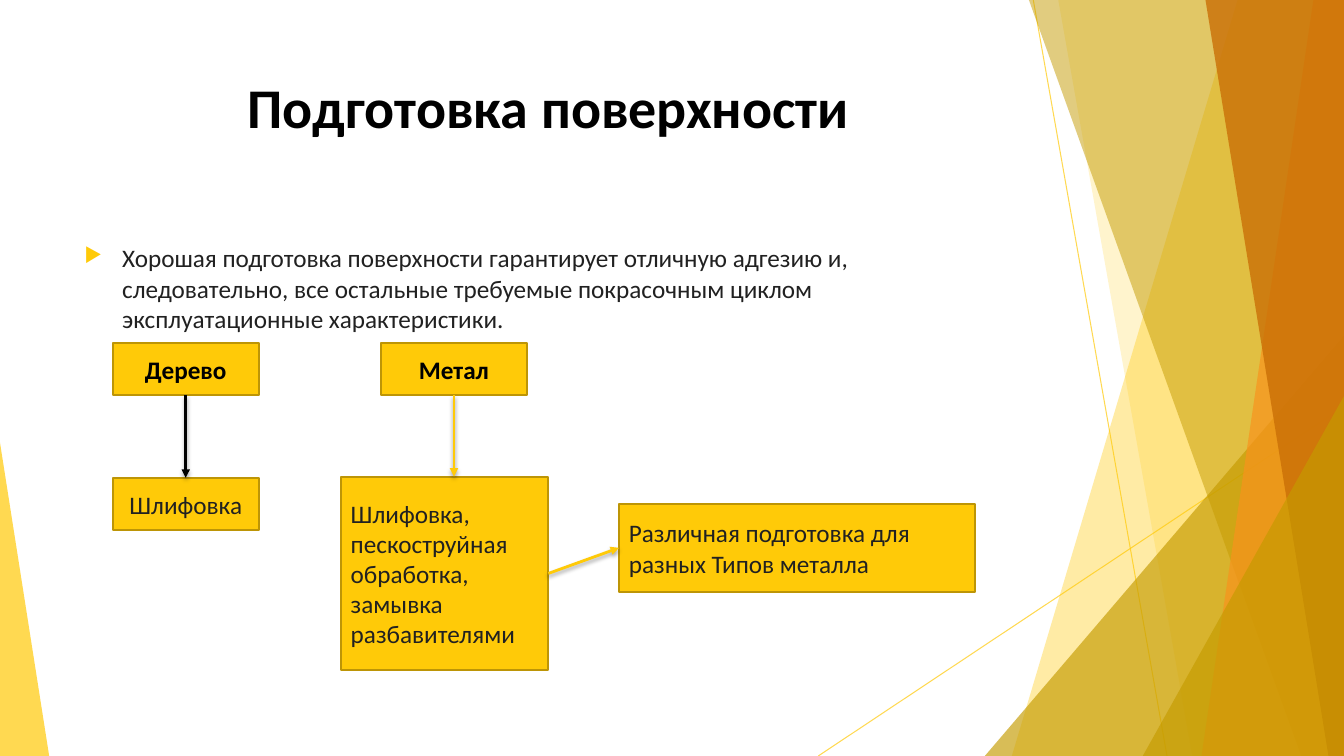
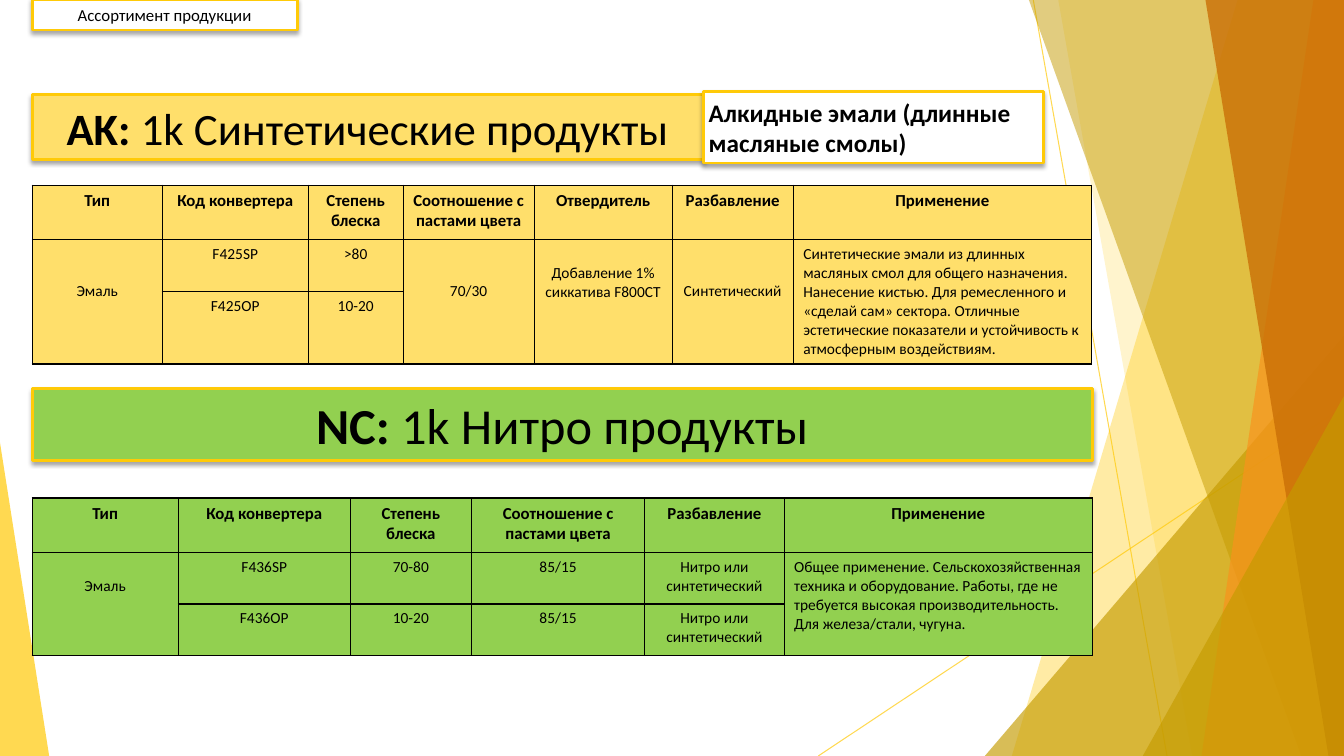
"""Build two slides on surface preparation and the paint product range."""
from pptx import Presentation
from pptx.dml.color import RGBColor
from pptx.enum.shapes import MSO_CONNECTOR, MSO_SHAPE
from pptx.enum.text import MSO_ANCHOR, PP_ALIGN
from pptx.oxml import parse_xml
from pptx.oxml.ns import nsdecls, qn
from pptx.util import Cm, Pt

W, H = 33.87, 19.05
FONT = "Calibri"
BLACK, TEXT, WHITE = "000000", "212121", "FFFFFF"
GOLD, EDGE, OLIVE = "FFCA08", "BD9506", "C59B00"
SAND, GREEN = "FFDF6B", "92D050"
CENTER, LEFT = PP_ALIGN.CENTER, PP_ALIGN.LEFT
LINE_11PT, PAD = 0.47, 0.13

THIN_LINES = [((26.04, 0), (29.41, H)), ((W, 10.24), (20.62, H))]
RAYS = [
    ("band", (31.19, 25.5), GOLD, 36),
    ("band", (26.67, 30.05), GOLD, 20),
    ("triangle", (24.82, 8.46, W, 1), OLIVE, 66),
    ("band", (25.93, 32.79), OLIVE, 50),
    ("band", (33.1, 30.28), "F8931D", 70),
    ("band", (30.38, 33.48), "CA6F06", 80),
    ("triangle", (28.8, 9.98, W, 1), OLIVE, 66),
    ("triangle", (0, 11.15, 1.24, 0), GOLD, 70),
]

TITLE = "Подготовка поверхности"
BODY = ("Хорошая подготовка поверхности гарантирует отличную адгезию и, следовательно, "
        "все остальные требуемые покрасочным циклом эксплуатационные характеристики.")
STEPS = {
    "wood": ("Дерево", (2.84, 8.64, 3.68, 1.32), CENTER, True),
    "metal": ("Метал", (9.6, 8.64, 3.68, 1.32), CENTER, True),
    "sanding": ("Шлифовка", (2.84, 12.04, 3.68, 1.32), CENTER, False),
    "cleaning": ("Шлифовка, пескоструйная обработка, замывка разбавителями",
                 (8.59, 12.01, 5.23, 4.88), LEFT, False),
    "variants": ("Различная подготовка для разных Типов металла",
                 (15.6, 12.7, 8.97, 2.21), LEFT, False),
}
JOINED_ARROWS = [("wood", 2, "sanding", 0, BLACK), ("cleaning", 3, "variants", 1, GOLD)]

BANNERS = [
    ([("AK: ", True), ("1k Синтетические продукты", False)],
     (0.81, 2.39, 16.92, 1.63), SAND, 32, CENTER),
    ([("Алкидные эмали (длинные масляные смолы)", True)],
     (17.73, 2.31, 8.56, 1.8), WHITE, 18, LEFT),
    ([("NC: ", True), ("1k Нитро продукты", False)],
     (0.81, 9.8, 26.72, 1.8), GREEN, 36, CENTER),
    ([("Ассортимент продукции", False)], (0.81, 0, 6.68, 0.76), WHITE, 12, CENTER),
]
TABLES = [
    {"top": 4.67, "fill": SAND,
     "cols": [3.28, 3.68, 2.39, 3.3, 3.48, 3.05, 7.52], "rows": [1.37, 1.3, 1.78],
     "drop": {0: 2, 3: 2, 4: 1, 5: 2},
     "cells": [
         ["Тип", "Код конвертера", "Степень блеска", "Соотношение с пастами цвета",
          "Отвердитель", "Разбавление", "Применение"],
         ["Эмаль", "F425SP", ">80", "70/30", "Добавление 1% сиккатива F800CT",
          "Синтетический",
          "Синтетические эмали из длинных масляных смол для общего назначения. "
          "Нанесение кистью. Для ремесленного и «сделай сам» сектора. Отличные "
          "эстетические показатели и устойчивость к атмосферным воздействиям."],
         [None, "F425OP", "10-20", None, None, None, None]]},
    {"top": 12.55, "fill": GREEN,
     "cols": [3.68, 4.34, 3.05, 4.37, 3.51, 7.77], "rows": [1.37, 1.3, 1.3],
     "drop": {0: 1},
     "cells": [
         ["Тип", "Код конвертера", "Степень блеска", "Соотношение с пастами цвета",
          "Разбавление", "Применение"],
         ["Эмаль", "F436SP", "70-80", "85/15", "Нитро или синтетический",
          "Общее применение. Сельскохозяйственная техника и оборудование. Работы, "
          "где не требуется высокая производительность.\nДля железа/стали, чугуна."],
         [None, "F436OP", "10-20", "85/15", "Нитро или синтетический", None]]},
]


def rgb(color):
    return RGBColor.from_string(color)


def apply(obj, fmt):
    for name, value in fmt.items():
        setattr(obj, name, value)


def set_alpha(element, percent):
    for clr in element.iter(qn("a:srgbClr")):
        clr.append(parse_xml(f'<a:alpha {nsdecls("a")} val="{percent * 1000}"/>'))


def set_effects(shape, shadow=False):
    inner = ('<a:outerShdw blurRad="38100" dist="23000" dir="5400000" rotWithShape="0">'
             '<a:srgbClr val="000000"><a:alpha val="35000"/></a:srgbClr></a:outerShdw>')
    shape.element.spPr.append(parse_xml(
        f'<a:effectLst {nsdecls("a")}>{inner if shadow else ""}</a:effectLst>'))


def write(p, runs, size, color, align):
    p.alignment = align
    for text, bold in runs:
        r = p.add_run()
        r.text = text
        apply(r.font, {"name": FONT, "size": Pt(size), "bold": bold})
        r.font.color.rgb = rgb(color)


def add_line(s, start, end, color, width):
    line = s.shapes.add_connector(MSO_CONNECTOR.STRAIGHT, *map(Cm, start + end))
    line.line.color.rgb = rgb(color)
    line.line.width = Pt(width)
    return line


def add_arrow(s, start, end, color):
    arrow = add_line(s, start, end, color, 2)
    arrow.line._get_or_add_ln().append(
        parse_xml(f'<a:tailEnd {nsdecls("a")} type="triangle"/>'))
    set_effects(arrow, shadow=True)
    return arrow


def add_box(s, box, runs, fill, edge, width, size, color, align, inset=None, shadow=False):
    sp = s.shapes.add_shape(MSO_SHAPE.RECTANGLE, *map(Cm, box))
    sp.fill.solid()
    sp.fill.fore_color.rgb = rgb(fill)
    sp.line.color.rgb = rgb(edge)
    sp.line.width = Pt(width)
    set_effects(sp, shadow)
    tf = sp.text_frame
    apply(tf, {"word_wrap": True, "vertical_anchor": MSO_ANCHOR.MIDDLE})
    if inset:
        sides = ("left", "top", "right", "bottom")
        apply(tf, {f"margin_{side}": Cm(inset) for side in sides})
    write(tf.paragraphs[0], runs, size, color, align)
    return sp


def add_text(s, box):
    tf = s.shapes.add_textbox(*map(Cm, box)).text_frame
    tf.word_wrap = True
    return tf.paragraphs[0]


def add_ray(s, kind, place, color, alpha):
    if kind == "band":
        top, bottom = place
        outline = s.shapes.build_freeform(Cm(top), 0, scale=1.0)
        corners = [(W, 0), (W, H), (bottom, H)]
        outline.add_line_segments([(Cm(x), Cm(y)) for x, y in corners], close=True)
        sp = outline.convert_to_shape()
    else:
        left, top, right, apex = place
        sp = s.shapes.add_shape(MSO_SHAPE.ISOSCELES_TRIANGLE,
                                *map(Cm, (left, top, right - left, H - top)))
        sp.adjustments[0] = apex
    sp.fill.solid()
    sp.fill.fore_color.rgb = rgb(color)
    set_alpha(sp.element.spPr, alpha)
    sp.line.fill.background()
    set_effects(sp)


def decorate(layout, s):
    for ph in list(layout.placeholders):
        ph.element.getparent().remove(ph.element)
    for start, end in THIN_LINES:
        line = add_line(s, start, end, GOLD, 0.75)
        set_alpha(line.element.spPr, 70)
        set_effects(line)
    for ray in RAYS:
        add_ray(s, *ray)
    for sp in list(s.shapes):
        layout.shapes.element.append(sp.element)


def build_preparation(s):
    write(add_text(s, (1.88, 1.7, 23.88, 3.66)), [(TITLE, True)], 40, BLACK, CENTER)
    p = add_text(s, (1.88, 5.99, 23.88, 2.5))
    pPr = p._p.get_or_add_pPr()
    apply_indent = {"marL": Cm(0.95), "indent": -Cm(0.95)}
    for name, value in apply_indent.items():
        pPr.set(name, str(int(value)))
    for xml in (f'<a:buClr {nsdecls("a")}><a:srgbClr val="{GOLD}"/></a:buClr>',
                f'<a:buSzPct {nsdecls("a")} val="80000"/>',
                f'<a:buChar {nsdecls("a")} char="▶"/>'):
        pPr.append(parse_xml(xml))
    write(p, [(BODY, False)], 18, TEXT, LEFT)

    boxes = {}
    for key, (text, box, align, bold) in STEPS.items():
        boxes[key] = add_box(s, box, [(text, bold)], GOLD, EDGE, 1.5, 18,
                             BLACK if bold else TEXT, align)
    x, y, w, h = STEPS["metal"][1]
    middle = x + w / 2
    arrow = add_arrow(s, (middle, y + h), (middle, STEPS["cleaning"][1][1]), GOLD)
    arrow.begin_connect(boxes["metal"], 2)
    for source, out_side, target, in_side, color in JOINED_ARROWS:
        arrow = add_arrow(s, (0, 0), (1, 1), color)
        arrow.begin_connect(boxes[source], out_side)
        arrow.end_connect(boxes[target], in_side)


def fill_cell(cell, text, header, align, fill, drop):
    tcPr = cell._tc.get_or_add_tcPr()
    for side in "LRTB":
        tcPr.append(parse_xml(
            f'<a:ln{side} {nsdecls("a")} w="12700"><a:solidFill>'
            f'<a:srgbClr val="{BLACK}"/></a:solidFill></a:ln{side}>'))
    cell.fill.solid()
    cell.fill.fore_color.rgb = rgb(fill)
    cell.margin_top = Cm(PAD + drop * LINE_11PT)
    tf = cell.text_frame
    for i, line in enumerate((text or "").split("\n")):
        p = tf.add_paragraph() if i else tf.paragraphs[0]
        if line:
            write(p, [(line, header)], 12 if header else 11, BLACK, align)


def add_grid(s, top, fill, cols, rows, drop, cells):
    frame = s.shapes.add_table(len(rows), len(cols),
                               *map(Cm, (0.81, top, sum(cols), sum(rows))))
    table = frame.table
    apply(table, {"first_row": False, "horz_banding": False})
    for col, width in zip(table.columns, cols):
        col.width = Cm(width)
    for row, height in zip(table.rows, rows):
        row.height = Cm(height)
    last = len(cols) - 1
    for i, values in enumerate(cells):
        for j, text in enumerate(values):
            align = LEFT if i and j == last else CENTER
            gap = drop.get(j, 0) if i == 1 else 0
            fill_cell(table.cell(i, j), text, i == 0, align, fill, gap)
            if text is None:
                table.cell(i - 1, j).merge(table.cell(i, j))


def build_range(s):
    for runs, box, fill, size, align in BANNERS:
        add_box(s, box, runs, fill, GOLD, 2, size, BLACK, align, PAD, shadow=True)
    for grid in TABLES:
        add_grid(s, **grid)


def main():
    prs = Presentation()
    apply(prs, {"slide_width": Cm(W), "slide_height": Cm(H)})
    layout = prs.slide_layouts[6]
    preparation, product_range = [prs.slides.add_slide(layout) for _ in range(2)]
    decorate(layout, preparation)
    build_preparation(preparation)
    build_range(product_range)
    prs.save("out.pptx")


if __name__ == "__main__":
    main()
